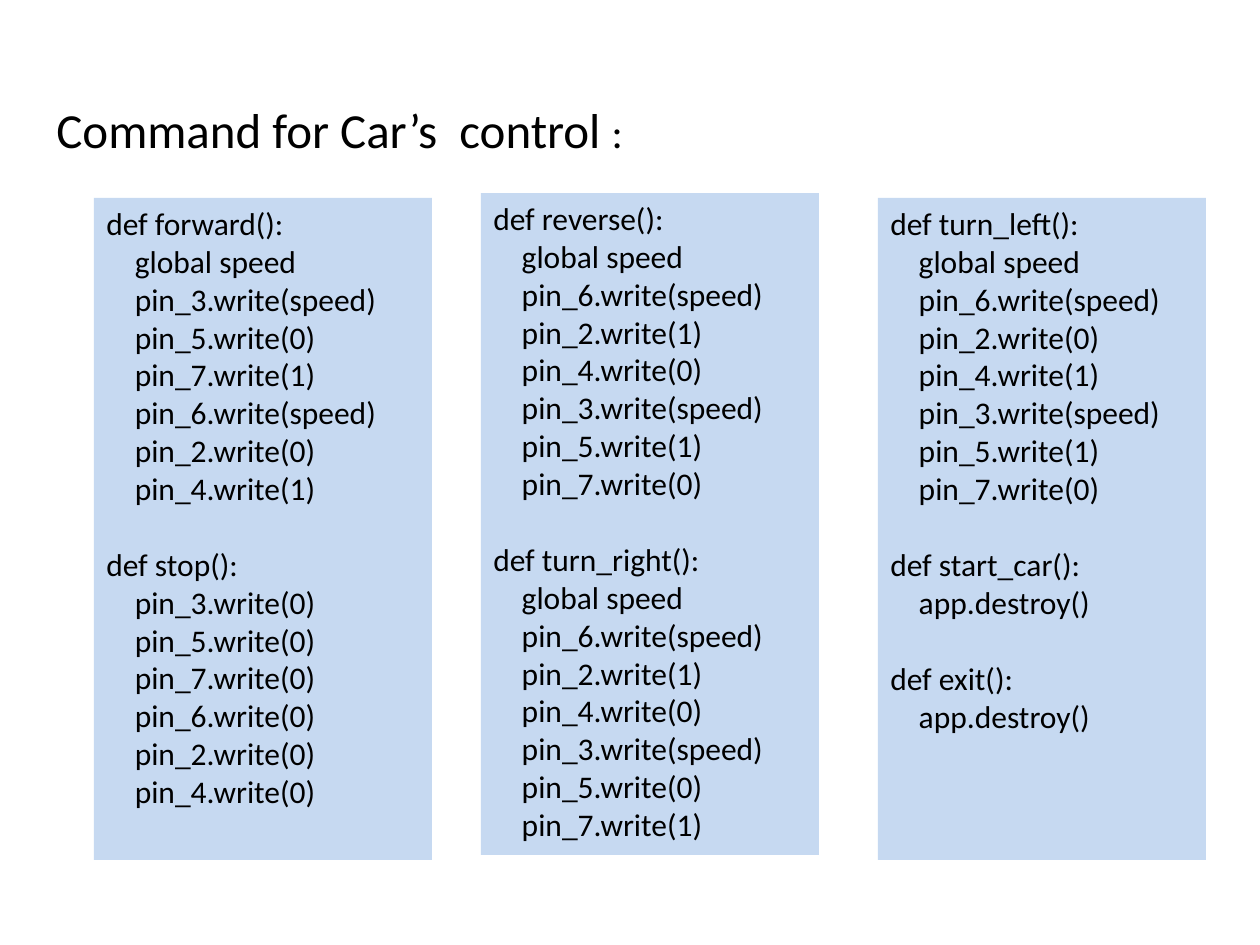
from dataclasses import dataclass

import pptx
import pptx.dml.color
import pptx.enum.shapes
import pptx.enum.text
import pptx.util

PX = 914400 / 126
COLORS = {"panel": "C6D9F1", "text": "000000"}
FONT = "Calibri"
CODE_SIZE = 18
FUNCTION_GAP = 22
INDENT = "    "
ANCHOR_TOP = pptx.enum.text.MSO_ANCHOR.TOP
FIT_NONE = pptx.enum.text.MSO_AUTO_SIZE.NONE
PANEL_FORMAT = {"word_wrap": True, "auto_size": FIT_NONE, "vertical_anchor": ANCHOR_TOP}
TITLE_FORMAT = {"word_wrap": False, "auto_size": FIT_NONE, "vertical_anchor": ANCHOR_TOP}


@dataclass(frozen=True)
class Function:
    name: str
    body: tuple[str, ...]


@dataclass(frozen=True)
class Panel:
    left: int
    top: int
    width: int
    height: int
    functions: tuple[Function, ...]


def writes(*pins: tuple[int, str]) -> tuple[str, ...]:
    return tuple(f"pin_{pin}.write({value})" for pin, value in pins)


def drive(name: str, *pins: tuple[int, str]) -> Function:
    return Function(name, ("global speed", *writes(*pins)))


STOP_PINS = [(pin, "0") for pin in (3, 5, 7, 6, 2, 4)]
DESTROY = ("app.destroy()",)

PANELS = [
    Panel(94, 198, 338, 662, (
        drive("forward", (3, "speed"), (5, "0"), (7, "1"), (6, "speed"), (2, "0"), (4, "1")),
        Function("stop", writes(*STOP_PINS)),
    )),
    Panel(481, 193, 338, 662, (
        drive("reverse", (6, "speed"), (2, "1"), (4, "0"), (3, "speed"), (5, "1"), (7, "0")),
        drive("turn_right", (6, "speed"), (2, "1"), (4, "0"), (3, "speed"), (5, "0"), (7, "1")),
    )),
    Panel(878, 198, 328, 662, (
        drive("turn_left", (6, "speed"), (2, "0"), (4, "1"), (3, "speed"), (5, "1"), (7, "0")),
        Function("start_car", DESTROY),
        Function("exit", DESTROY),
    )),
]


def px(*lengths: int) -> list[int]:
    return [round(length * PX) for length in lengths]


def rgb(name: str) -> pptx.dml.color.RGBColor:
    return pptx.dml.color.RGBColor.from_string(COLORS[name])


def apply(target, values: dict) -> None:
    for key, value in values.items():
        setattr(target, key, value)


def add_run(p, text: str, size: int) -> None:
    r = p.add_run()
    r.text = text
    apply(r.font, {"name": FONT, "size": pptx.util.Pt(size)})
    r.font.color.rgb = rgb("text")


def add_title(s) -> None:
    tf = s.shapes.add_textbox(*px(44, 93, 599, 72)).text_frame
    apply(tf, TITLE_FORMAT)
    p = tf.paragraphs[0]
    add_run(p, "Command for Car’s  control ", 28)
    add_run(p, ":", 24)


def add_panel(s, panel: Panel) -> None:
    sp = s.shapes.add_shape(
        pptx.enum.shapes.MSO_SHAPE.RECTANGLE,
        *px(panel.left, panel.top, panel.width, panel.height),
    )
    sp.shadow.inherit = False
    sp.fill.solid()
    sp.fill.fore_color.rgb = rgb("panel")
    sp.line.fill.background()
    tf = sp.text_frame
    apply(tf, PANEL_FORMAT)
    p = tf.paragraphs[0]
    for i, function in enumerate(panel.functions):
        lines = [f"def {function.name}():"] + [INDENT + line for line in function.body]
        for j, line in enumerate(lines):
            if i or j:
                p = tf.add_paragraph()
            if i and not j:
                p.space_before = pptx.util.Pt(FUNCTION_GAP)
            p.alignment = pptx.enum.text.PP_ALIGN.LEFT
            add_run(p, line, CODE_SIZE)


def main() -> None:
    prs = pptx.Presentation()
    prs.slide_width, prs.slide_height = px(1260, 945)
    s = prs.slides.add_slide(prs.slide_layouts[6])
    for panel in PANELS:
        add_panel(s, panel)
    add_title(s)
    prs.save("out.pptx")


if __name__ == "__main__":
    main()
